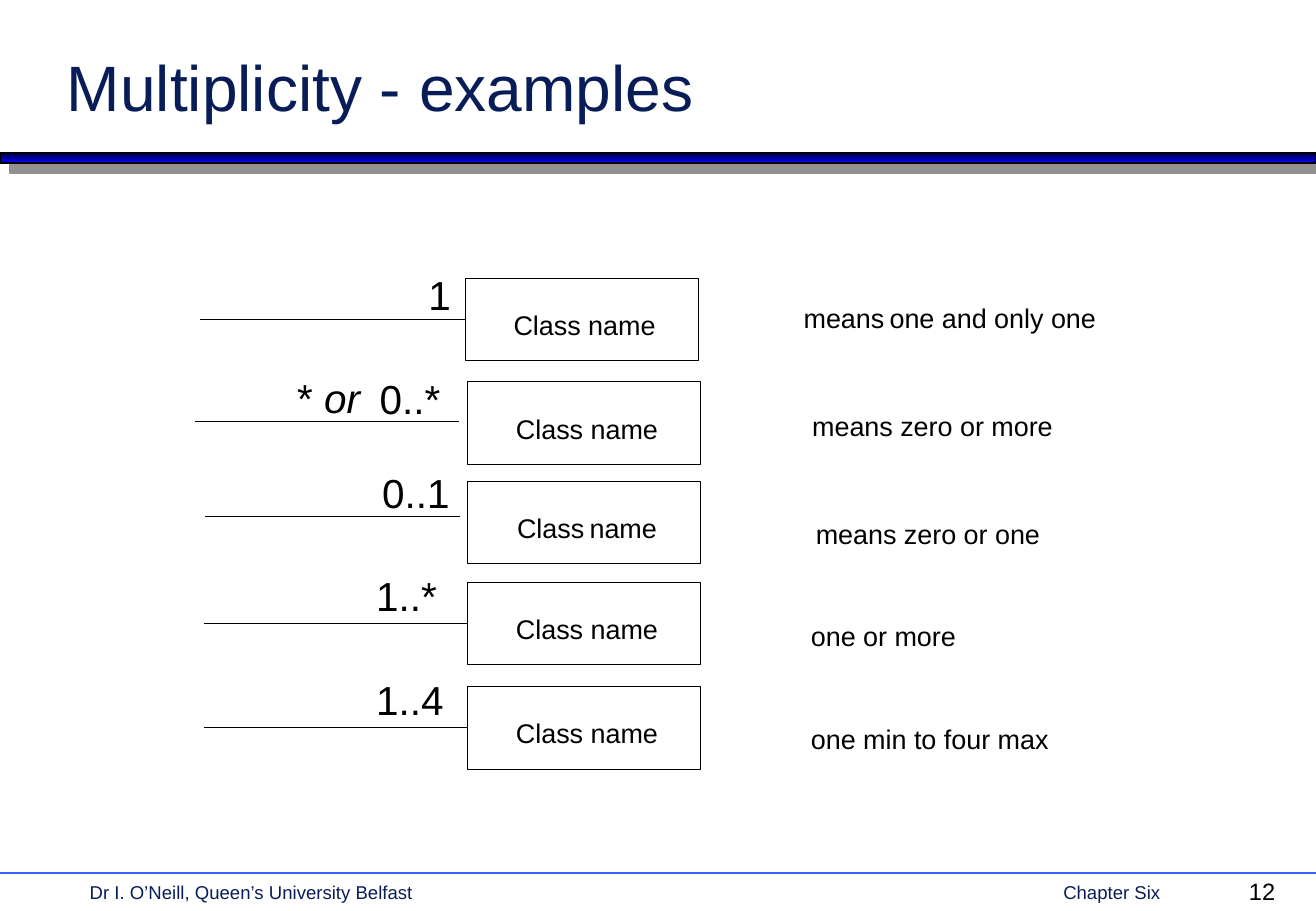
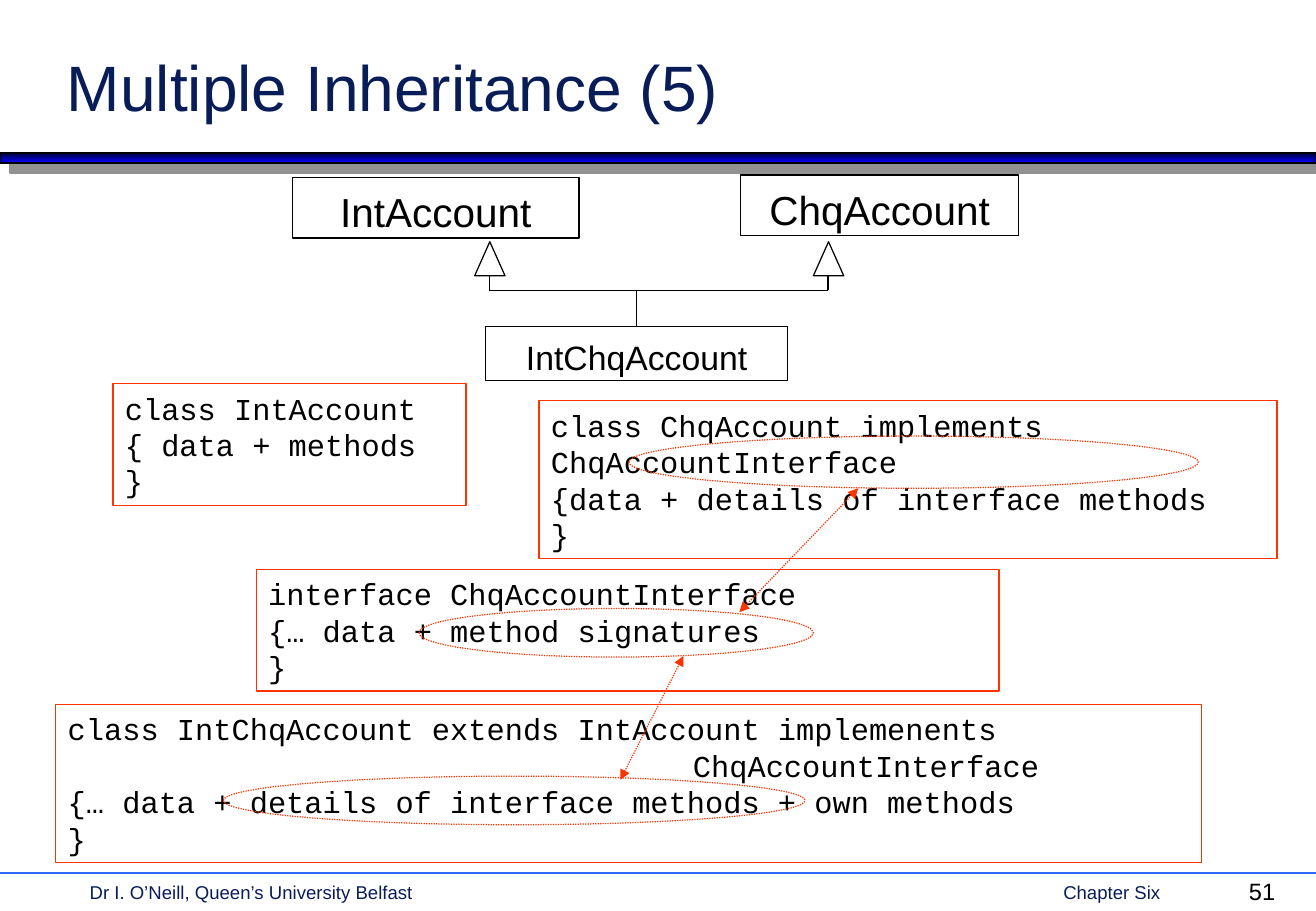
from dataclasses import dataclass

from lxml import etree
from pptx import Presentation
from pptx.dml.color import RGBColor
from pptx.enum.dml import MSO_LINE_DASH_STYLE as Dash
from pptx.enum.shapes import MSO_CONNECTOR as Connector
from pptx.enum.shapes import MSO_SHAPE as Shape
from pptx.enum.text import MSO_ANCHOR as Anchor
from pptx.enum.text import MSO_AUTO_SIZE as AutoSize
from pptx.enum.text import PP_ALIGN as Align
from pptx.oxml.ns import qn
from pptx.util import Inches, Pt

WIDTH, HEIGHT = 10.84, 7.5
NAVY, BLACK, ORANGE, RULE_BLUE = "081D58", "000000", "FF3300", "3366FF"
BAND_DARK, BAND_BLUE, BAND_SHADOW = "000036", "0000FF", "919191"
SANS, MONO = "Arial", "Courier New"
PADDING = (0.1, 0.05, 0.1, 0.05)
NO_PADDING = (0, 0, 0, 0)


@dataclass
class Multiplicity:
    box: tuple
    line_start: float
    line_drop: float
    gap: float
    label: str
    label_at: tuple
    meaning: list
    meaning_at: tuple
    name: list


CLASS_NAME = [("Class name", 16)]
MULTIPLICITIES = [
    Multiplicity((3.83, 2.29), 1.65, 0.34, 0, "1", (-0.4, -0.12),
                 [("means", 16), (" ", 11), ("one and only one", 16)],
                 (2.79, 0.19), CLASS_NAME),
    Multiplicity((3.85, 3.14), 1.61, 0.33, 0.07, "0..*", (-0.82, -0.11),
                 [("means zero or more", 16)], (2.84, 0.23), CLASS_NAME),
    Multiplicity((3.85, 3.96), 1.69, 0.29, 0.06, "0..1", (-0.8, -0.16),
                 [("means zero or one", 16)], (2.87, 0.3),
                 [("Class", 16), (" ", 11), ("name", 16)]),
    Multiplicity((3.85, 4.79), 1.68, 0.34, 0, "1..*", (-0.85, -0.14),
                 [("one or more", 16)], (2.83, 0.31), CLASS_NAME),
    Multiplicity((3.85, 5.65), 1.68, 0.34, 0, "1..4", (-0.85, -0.14),
                 [("one min to four max", 16)], (2.83, 0.3), CLASS_NAME),
]

CODE_BOXES = [
    ((0.93, 3.16, 2.91, 1), [("class IntAccount", 0), ("{ data + methods", 0), ("}", 0)]),
    ((4.44, 3.3, 6.08, 1.3), [
        ("class ChqAccount implements ChqAccountInterface", 0),
        ("{data + details of interface methods", 0), ("}", 0)]),
    ((2.11, 4.69, 6.12, 1), [
        ("interface ChqAccountInterface", 0),
        ("{… data + method signatures", 0), ("}", 0)]),
    ((0.46, 5.8, 9.44, 1.3), [
        ("class IntChqAccount extends IntAccount implemenents", 0),
        ("ChqAccountInterface", 5.15),
        ("{… data + details of interface methods + own methods", 0), ("}", 0)]),
]
HIGHLIGHTS = [(1.84, 6.39, 4.79, 0.4), (3.45, 5.01, 3.25, 0.4), (5.18, 3.59, 4.69, 0.43)]
LINKS = [((5.11, 6.42), (5.63, 5.4)), ((6.09, 5.04), (7.07, 4.02))]


def colour(value):
    return RGBColor.from_string(value)


def place(box):
    return [Inches(length) for length in box]


def set_line(item, line_colour, weight, dash=None):
    item.line.color.rgb = colour(line_colour)
    item.line.width = Pt(weight)
    if dash:
        item.line.dash_style = dash


def set_frame(frame, padding, anchor=Anchor.TOP):
    frame.word_wrap = True
    frame.auto_size = AutoSize.NONE
    frame.vertical_anchor = anchor
    (frame.margin_left, frame.margin_top,
     frame.margin_right, frame.margin_bottom) = place(padding)


def add_span(para, text, size, text_colour=BLACK, face=SANS, italic=False):
    span = para.add_run()
    span.text = text
    span.font.size = Pt(size)
    span.font.name = face
    span.font.color.rgb = colour(text_colour)
    if italic:
        span.font.italic = True


def add_text(page, box, padding=PADDING):
    text_box = page.shapes.add_textbox(*place(box))
    set_frame(text_box.text_frame, padding)
    para = text_box.text_frame.paragraphs[0]
    para.alignment = Align.LEFT
    return para


def add_outline(page, kind, box, line_colour=BLACK, weight=0.75, dash=None):
    shape = page.shapes.add_shape(kind, *place(box))
    shape.shadow.inherit = False
    shape.fill.background()
    set_line(shape, line_colour, weight, dash)
    return shape


def add_line(page, start, end, line_colour=BLACK, weight=0.75, dash=None):
    line = page.shapes.add_connector(Connector.STRAIGHT, *place(start + end))
    set_line(line, line_colour, weight, dash)
    etree.SubElement(line._element.spPr, qn("a:effectLst"))
    return line


def add_arrowheads(line):
    for tag in ("a:headEnd", "a:tailEnd"):
        etree.SubElement(line.line._get_or_add_ln(), qn(tag)).set("type", "triangle")


def add_title(page, text):
    title = page.shapes.title
    title.left, title.top, title.width, title.height = place((0.45, 0.29, 9.25, 0.78))
    set_frame(title.text_frame, PADDING, Anchor.BOTTOM)
    para = title.text_frame.paragraphs[0]
    para.alignment = Align.LEFT
    add_span(para, text, 38, NAVY)


def add_band(page):
    band = add_outline(page, Shape.RECTANGLE, (0, 1.26, WIDTH, 0.08), BLACK, 1)
    band.fill.gradient()
    band.fill.gradient_angle = 270
    for stop, stop_colour, position in zip(
            band.fill.gradient_stops, (BAND_DARK, BAND_BLUE), (0, 1)):
        stop.color.rgb = colour(stop_colour)
        stop.position = position
    effects = band._element.spPr.find(qn("a:effectLst"))
    shadow = etree.SubElement(effects, qn("a:outerShdw"), dist=str(Pt(8.5)),
                              dir="2700000", algn="ctr", rotWithShape="0")
    etree.SubElement(shadow, qn("a:srgbClr"), val=BAND_SHADOW)


def add_footer(page, number):
    add_line(page, (0, 7.19), (WIDTH, 7.19), RULE_BLUE, 1)
    para = add_text(page, (0.64, 7.2, 9.46, 0.28))
    tabs = etree.SubElement(para._p.get_or_add_pPr(), qn("a:tabLst"))
    etree.SubElement(tabs, qn("a:tab"), pos=str(Inches(8.02)), algn="l")
    add_span(para, "Dr I. O’Neill, Queen’s University Belfast\tChapter Six", 11, NAVY)
    add_span(add_text(page, (10.19, 7.17, 0.6, 0.32)), str(number), 14)


def add_page(deck, title, number):
    page = deck.slides.add_slide(deck.slide_layouts[5])
    add_band(page)
    add_footer(page, number)
    add_title(page, title)
    return page


def add_class_box(page, box, spans, padding, weight=0.75):
    class_box = add_outline(page, Shape.RECTANGLE, box, weight=weight)
    set_frame(class_box.text_frame, padding, Anchor.MIDDLE)
    para = class_box.text_frame.paragraphs[0]
    para.alignment = Align.CENTER
    for text, size in spans:
        add_span(para, text, size)
    return class_box


def add_multiplicity(page, row):
    left, top = row.box
    class_box = add_class_box(page, (left, top, 1.92, 0.68), row.name,
                              (0.05, 0.09, 0, 0), 0.37)
    line_y = top + row.line_drop
    line = add_line(page, (row.line_start, line_y), (left - row.gap, line_y), weight=0.37)
    if not row.gap:
        line.end_connect(class_box, 1)
    x, y = row.label_at
    add_span(add_text(page, (left + x, top + y, 0.9, 0.5)), row.label, 24)
    x, y = row.meaning_at
    meaning = add_text(page, (left + x, top + y, 2.8, 0.27), NO_PADDING)
    for text, size in row.meaning:
        add_span(meaning, text, size)


def add_inheritance_tree(page, left, top):
    padding = (0.1, 0.1, 0.1, 0.04)
    for x, y, width, name in ((0, 0.02, 2.36, "IntAccount"), (3.69, 0, 2.29, "ChqAccount")):
        add_class_box(page, (left + x, top + y, width, 0.5), [(name, 24)], padding)
    child = add_class_box(page, (left + 1.59, top + 1.25, 2.49, 0.44),
                          [("IntChqAccount", 20)], padding)
    bus_y = top + 0.95
    centres = (left + 1.62, left + 4.41)
    for centre in centres:
        add_outline(page, Shape.ISOSCELES_TRIANGLE, (centre - 0.12, top + 0.55, 0.25, 0.28))
        add_line(page, (centre, top + 0.83), (centre, bus_y))
    add_line(page, (centres[0], bus_y), (centres[1], bus_y))
    child_x = left + 1.59 + 2.49 / 2
    add_line(page, (child_x, bus_y), (child_x, top + 1.25)).end_connect(child, 0)


def add_code_box(page, box, lines):
    code_box = add_outline(page, Shape.RECTANGLE, box, ORANGE)
    frame = code_box.text_frame
    set_frame(frame, PADDING)
    for index, (text, indent) in enumerate(lines):
        para = frame.add_paragraph() if index else frame.paragraphs[0]
        para.alignment = Align.LEFT
        para.line_spacing = Pt(21.6)
        if indent:
            para._p.get_or_add_pPr().set("marL", str(Inches(indent)))
        add_span(para, text, 18, face=MONO)


def build_multiplicity_page(deck):
    page = add_page(deck, "Multiplicity - examples", 12)
    for row in MULTIPLICITIES:
        add_multiplicity(page, row)
    alternative = add_text(page, (2.35, 3.02, 0.8, 0.5))
    add_span(alternative, "* ", 24)
    add_span(alternative, "or", 24, italic=True)


def build_inheritance_page(deck):
    page = add_page(deck, "Multiple Inheritance (5)", 51)
    add_inheritance_tree(page, 2.41, 1.44)
    for box, lines in CODE_BOXES:
        add_code_box(page, box, lines)
    for box in HIGHLIGHTS:
        add_outline(page, Shape.OVAL, box, ORANGE, dash=Dash.ROUND_DOT)
    for start, end in LINKS:
        add_arrowheads(add_line(page, start, end, ORANGE, dash=Dash.ROUND_DOT))


def main():
    deck = Presentation()
    deck.slide_width, deck.slide_height = place((WIDTH, HEIGHT))
    build_multiplicity_page(deck)
    build_inheritance_page(deck)
    deck.save("out.pptx")


if __name__ == "__main__":
    main()
